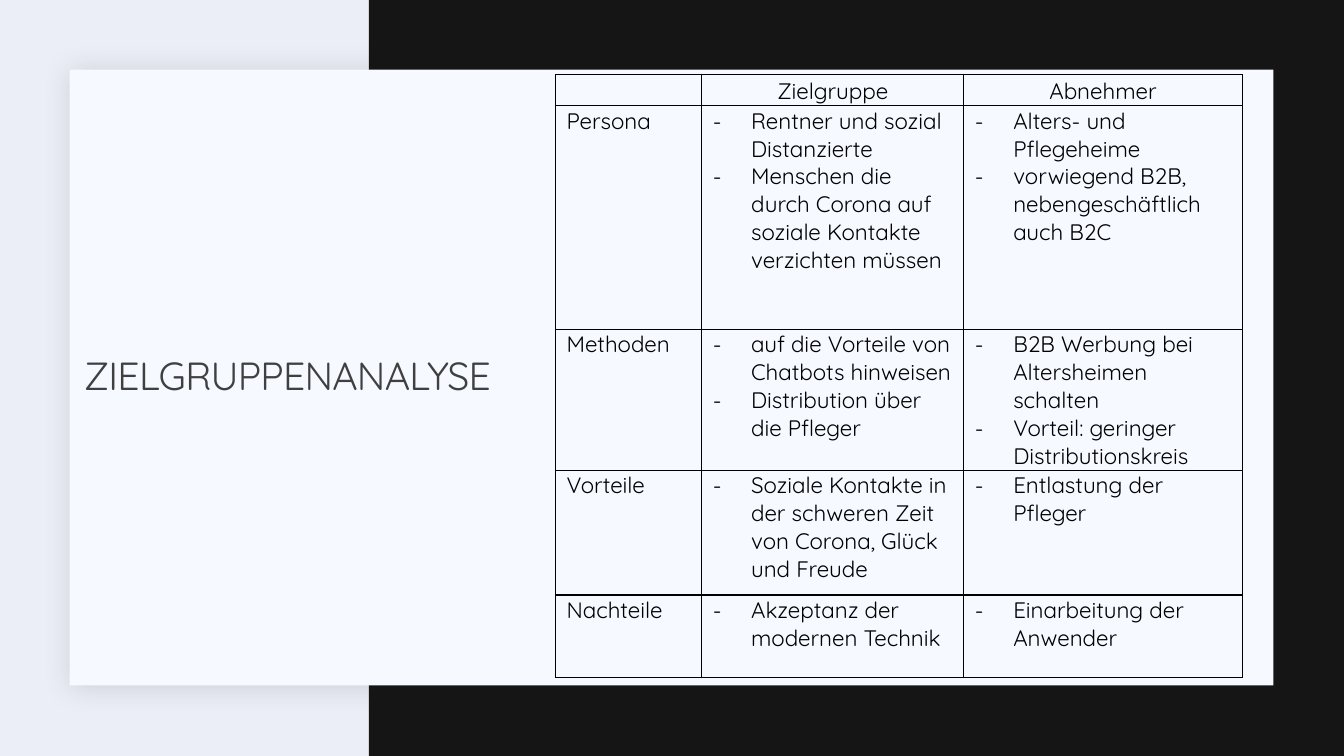
"""Build the slide with the target group analysis table."""
from dataclasses import dataclass

from lxml import etree
from pptx import Presentation
from pptx.dml.color import RGBColor
from pptx.enum.shapes import MSO_SHAPE
from pptx.enum.text import MSO_ANCHOR, MSO_AUTO_SIZE, PP_ALIGN
from pptx.oxml.ns import qn
from pptx.util import Inches, Pt

RECT = MSO_SHAPE.RECTANGLE
MIDDLE, TOP = MSO_ANCHOR.MIDDLE, MSO_ANCHOR.TOP
CENTER, LEFT = PP_ALIGN.CENTER, PP_ALIGN.LEFT
NO_FIT = MSO_AUTO_SIZE.NONE


@dataclass(frozen=True)
class Theme:
    font: str = "Quicksand"
    back: str = "ECEEF7"
    dark: str = "141514"
    panel: str = "F6F9FF"
    shade: str = "1F2125"
    title: str = "404040"
    ink: str = "000000"
    head: int = 28
    body: int = 16


THEME = Theme()


def write(frame, lines, size=THEME.body, color=THEME.ink, align=LEFT,
          dash=False, space=None, track=None):
    for i, line in enumerate(lines):
        para = frame.paragraphs[0] if i == 0 else frame.add_paragraph()
        para.alignment = align
        para.line_spacing = space
        run = para.add_run()
        run.text = line
        font = run.font
        font.name, font.size, font.bold = THEME.font, Pt(size), False
        font.color.rgb = RGBColor.from_string(color)
        if track is not None:
            font._element.set("spc", str(track))
        if dash:
            props = para._p.get_or_add_pPr()
            props.set("marL", str(Inches(0.38)))
            props.set("indent", str(Inches(-0.38)))
            etree.SubElement(props, qn("a:buFont"), typeface=THEME.font)
            etree.SubElement(props, qn("a:buChar"), char="-")


def border(cell):
    props = cell._tc.get_or_add_tcPr()
    for i, side in enumerate(("lnL", "lnR", "lnT", "lnB")):
        line = etree.Element(qn("a:" + side), w=str(Pt(1)))
        fill = etree.SubElement(line, qn("a:solidFill"))
        etree.SubElement(fill, qn("a:srgbClr"), val=THEME.ink)
        props.insert(i, line)


deck = Presentation()
deck.slide_width, deck.slide_height = Inches(13.33), Inches(7.5)
slide = deck.slides.add_slide(deck.slide_layouts[5])
slide.background.fill.solid()
slide.background.fill.fore_color.rgb = RGBColor.from_string(THEME.back)

title = slide.shapes.title
title.left, title.top = Inches(0.69), Inches(3.43)
title.width, title.height = Inches(4.32), Inches(0.64)
frame = title.text_frame
frame.word_wrap = True
frame.auto_size = NO_FIT
frame.vertical_anchor = MIDDLE
write(frame, ["ZIELGRUPPENANALYSE"], size=THEME.head, color=THEME.title,
      align=CENTER, space=0.9, track=-50)

for box, color in (((3.66, 0, 9.67, 7.5), THEME.dark),
                   ((0.69, 0.69, 11.94, 6.11), THEME.panel)):
    panel = slide.shapes.add_shape(RECT, *map(Inches, box))
    panel.fill.solid()
    panel.fill.fore_color.rgb = RGBColor.from_string(color)
    panel.line.fill.background()
    panel.shadow.inherit = False
    title.element.addprevious(panel.element)

effects = panel.element.spPr.find(qn("a:effectLst"))
shadow = etree.SubElement(effects, qn("a:outerShdw"), blurRad=str(Pt(20)),
                          dist=str(Pt(2)), dir=str(45 * 60000), rotWithShape="0")
shade = etree.SubElement(shadow, qn("a:srgbClr"), val=THEME.shade)
etree.SubElement(shade, qn("a:alpha"), val="15000")

ROWS = [
    ([""], ["Zielgruppe"], ["Abnehmer"]),
    (["Persona"],
     ["Rentner und sozial Distanzierte",
      "Menschen die durch Corona auf soziale Kontakte verzichten müssen"],
     ["Alters- und Pflegeheime",
      "vorwiegend B2B, nebengeschäftlich auch B2C"]),
    (["Methoden"],
     ["auf die Vorteile von Chatbots hinweisen",
      "Distribution über die Pfleger"],
     ["B2B Werbung bei Altersheimen schalten",
      "Vorteil: geringer Distributionskreis"]),
    (["Vorteile"],
     ["Soziale Kontakte in der schweren Zeit von Corona, Glück und Freude"],
     ["Entlastung der Pfleger"]),
    (["Nachteile"],
     ["Akzeptanz der modernen Technik"],
     ["Einarbeitung der Anwender"]),
]
WIDTHS = (1.45, 2.6, 2.76)
HEIGHTS = (0.31, 2.22, 1.32, 1.24, 0.82)

grid = slide.shapes.add_table(len(ROWS), len(WIDTHS), Inches(5.51), Inches(0.74),
                              Inches(sum(WIDTHS)), Inches(sum(HEIGHTS))).table
grid.first_row = grid.horz_banding = False
for col, width in zip(grid.columns, WIDTHS):
    col.width = Inches(width)
for r, (row, height) in enumerate(zip(ROWS, HEIGHTS)):
    grid.rows[r].height = Inches(height)
    for c, lines in enumerate(row):
        cell = grid.cell(r, c)
        cell.margin_left = cell.margin_right = Inches(0.11)
        cell.margin_top, cell.margin_bottom = Inches(0.01), 0
        cell.vertical_anchor = TOP if r else MIDDLE
        cell.fill.background()
        border(cell)
        write(cell.text_frame, lines, align=LEFT if r else CENTER,
              dash=r > 0 and c > 0)

deck.save("out.pptx")
